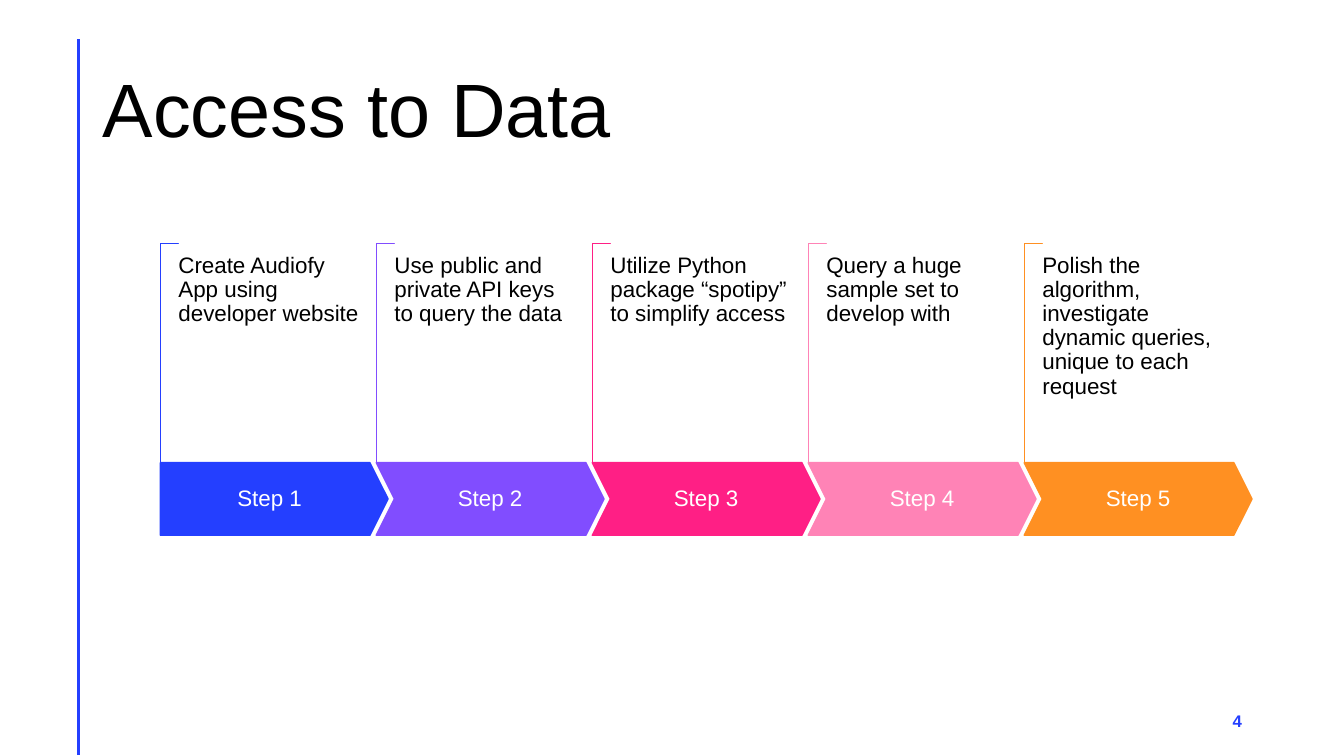
"""Build the "Access to Data" slide: five process steps with bracketed notes."""
from lxml import etree
from pptx import Presentation
from pptx.dml.color import RGBColor
from pptx.enum.shapes import MSO_CONNECTOR, MSO_SHAPE
from pptx.enum.text import MSO_ANCHOR, PP_ALIGN
from pptx.oxml.ns import qn
from pptx.util import Inches, Pt

STRAIGHT = MSO_CONNECTOR.STRAIGHT
PENTAGON, CHEVRON, CORNER = MSO_SHAPE.PENTAGON, MSO_SHAPE.CHEVRON, MSO_SHAPE.CORNER
TOP, MIDDLE = MSO_ANCHOR.TOP, MSO_ANCHOR.MIDDLE
LEFT, CENTER, RIGHT = PP_ALIGN.LEFT, PP_ALIGN.CENTER, PP_ALIGN.RIGHT

SLIDE_WIDTH, SLIDE_HEIGHT = Inches(13.333), Inches(7.5)
COLORS = {
    "blue": "243FFF",
    "purple": "814DFF",
    "magenta": "FF1F85",
    "pink": "FF83B6",
    "orange": "FF9022",
    "black": "000000",
    "white": "FFFFFF",
}
STEPS = [
    ("blue", "Create Audiofy App using developer website"),
    ("purple", "Use public and private API keys to query the data"),
    ("magenta", "Utilize Python package “spotipy” to simplify access"),
    ("pink", "Query a huge sample set to develop with"),
    ("orange", "Polish the algorithm, investigate dynamic queries, unique to each request"),
]
FIRST_STEP, STEP_PITCH, STEP_WIDTH, NOTCH = 11.93, 16.07, 16.95, 1.35
ARROW_TOP, ARROW_HEIGHT = 61.2, 9.6
BRACKET_TOP, NOTE_TOP = 32.2, 33.6
NOTE_WIDTH, NOTE_HEIGHT = 13.73, 20.67


def color(name):
    """Return the named colour."""
    return RGBColor.from_string(COLORS[name])


def across(percent):
    """Convert a percentage of the slide's width to a length."""
    return round(SLIDE_WIDTH * percent / 100)


def down(percent):
    """Convert a percentage of the slide's height to a length."""
    return round(SLIDE_HEIGHT * percent / 100)


def area(left, top, width, height):
    """Convert percentages of the slide to a position and size."""
    return across(left), down(top), across(width), down(height)


def set_attributes(target, values):
    """Set each named attribute of the target."""
    for name, value in values.items():
        setattr(target, name, value)


def write(shape, text, size, ink, align=LEFT, anchor=MIDDLE, margin=0.1, bold=False, spacing=1.0):
    """Fill a shape with one formatted paragraph and return its run."""
    frame = shape.text_frame
    set_attributes(frame, {
        "word_wrap": True,
        "vertical_anchor": anchor,
        "margin_left": Inches(margin),
        "margin_right": Inches(margin),
        "margin_top": Inches(margin / 2),
        "margin_bottom": Inches(margin / 2),
    })
    paragraph = frame.paragraphs[0]
    set_attributes(paragraph, {"alignment": align, "line_spacing": spacing})
    run = paragraph.add_run()
    run.text = text
    set_attributes(run.font, {"name": "Arial", "size": Pt(size), "bold": bold})
    run.font.color.rgb = color(ink)
    return run


def add_block(slide, kind, box, fill, line, adjustments):
    """Add a preset shape with a solid fill and a thin line."""
    shape = slide.shapes.add_shape(kind, *box)
    shape.shadow.inherit = False
    shape.fill.solid()
    shape.fill.fore_color.rgb = color(fill)
    shape.line.color.rgb = color(line)
    shape.line.width = Pt(1)
    for index, value in enumerate(adjustments):
        shape.adjustments[index] = value
    return shape


def add_bracket(slide, left, tint):
    """Add the corner bracket that rises from a step's left edge."""
    x, y, width, height = area(left, BRACKET_TOP, NOTCH, ARROW_TOP - BRACKET_TOP)
    turn = (height - width) // 2
    bracket = add_block(slide, CORNER, (x - turn, y + turn, height, width), "white", tint, (0.01, 0.01))
    bracket.rotation = 90


def add_step(slide, index, tint, note):
    """Add one step: its bracket, labelled arrow and note."""
    left = FIRST_STEP + index * STEP_PITCH
    add_bracket(slide, left, tint)
    kind = CHEVRON if index else PENTAGON
    box = area(left, ARROW_TOP, STEP_WIDTH, ARROW_HEIGHT)
    arrow = add_block(slide, kind, box, tint, tint, (0.25,))
    write(arrow, f"Step {index + 1}", 16, "white", align=CENTER, spacing=0.9)
    note_box = slide.shapes.add_textbox(*area(left + NOTCH, NOTE_TOP, NOTE_WIDTH, NOTE_HEIGHT))
    write(note_box, note, 16, "black", anchor=TOP, margin=0, spacing=0.9)


def add_side_rule(slide):
    """Add the vertical rule beside the title."""
    rule = slide.shapes.add_connector(STRAIGHT, across(5.85), down(5.2), across(5.85), down(99.9))
    rule.line.color.rgb = color("blue")
    rule.line.width = Pt(2)
    etree.SubElement(rule._element.spPr, qn("a:effectLst"))


def add_title(slide, text):
    """Move and format the title placeholder."""
    title = slide.shapes.title
    names = ("left", "top", "width", "height")
    set_attributes(title, dict(zip(names, area(6.9, 5.33, 86.25, 19.33))))
    write(title, text, 54, "black", spacing=0.9)


def add_page_number(slide, number):
    """Add the page number at the lower right."""
    box = slide.shapes.add_textbox(*area(70.65, 92.67, 22.5, 5.33))
    run = write(box, number, 12, "blue", align=RIGHT, bold=True)
    run._r.get_or_add_rPr().set("spc", "100")


def main():
    """Build and save the presentation."""
    presentation = Presentation()
    set_attributes(presentation, {"slide_width": SLIDE_WIDTH, "slide_height": SLIDE_HEIGHT})
    slide = presentation.slides.add_slide(presentation.slide_layouts[5])
    add_side_rule(slide)
    add_title(slide, "Access to Data")
    add_page_number(slide, "4")
    for index, (tint, note) in enumerate(STEPS):
        add_step(slide, index, tint, note)
    presentation.save("out.pptx")


if __name__ == "__main__":
    main()
